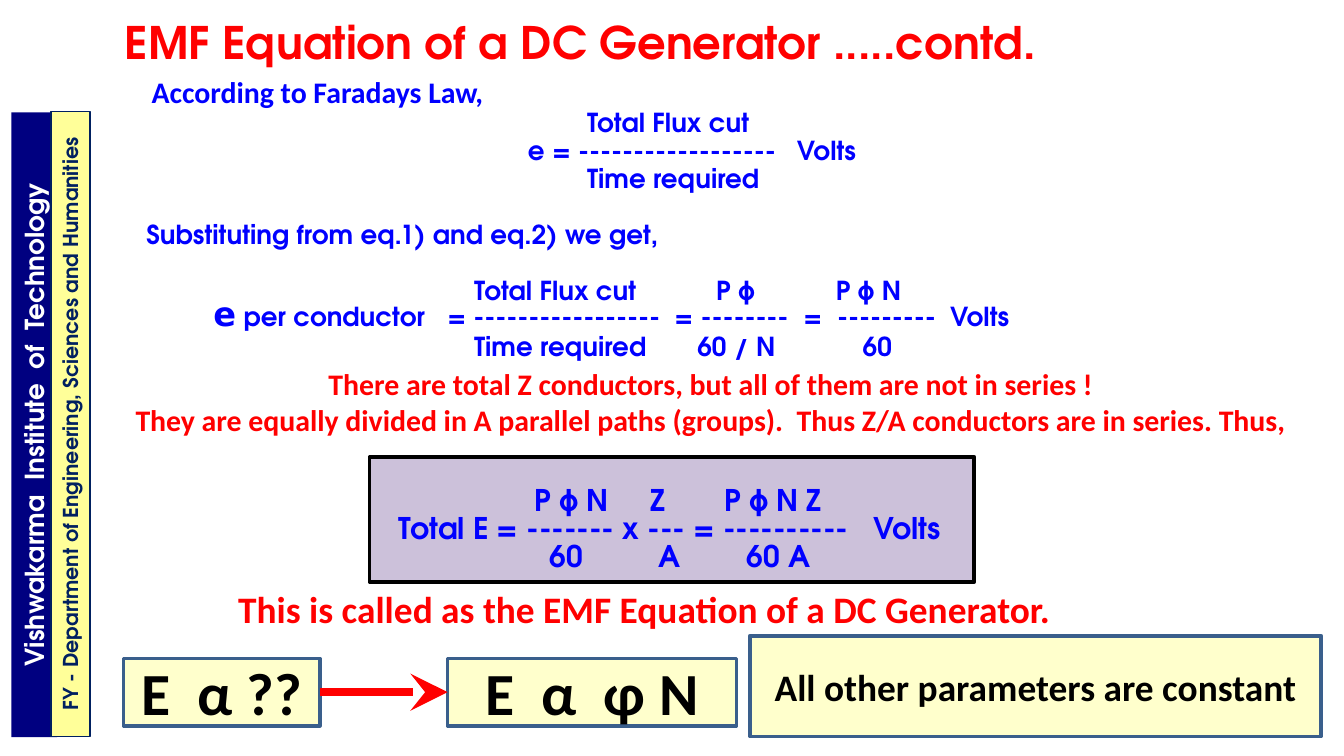
from dataclasses import dataclass

import pptx
import pptx.dml.color
import pptx.enum.shapes
import pptx.enum.text
import pptx.oxml
import pptx.oxml.ns
import pptx.util

Inches = pptx.util.Inches
Pt = pptx.util.Pt
Align = pptx.enum.text.PP_ALIGN
Anchor = pptx.enum.text.MSO_ANCHOR

GEO = "TeX Gyre Adventor"
SANS = "Calibri"
BLUE, RED, BLACK = "0000FF", "FF0000", "000000"
CREAM, STEEL, NAVY = "FFFFCC", "3A5F8C", "002060"


@dataclass
class Style:
    face: str
    size: float
    color: str


@dataclass
class Row:
    """A line of text whose tabs reach the given stops, in inches."""
    text: str
    stops: tuple
    gap: float = 0
    lead: float | object = Pt(15)


@dataclass
class Panel:
    at: tuple
    text: str
    style: Style
    fill: str
    edge: str | None = None
    width: float = 2
    turn: float = 0


def rgb(code: str):
    return pptx.dml.color.RGBColor.from_string(code)


def dress(font, style: Style) -> None:
    font.name = style.face
    font.size = Pt(style.size)
    font.bold = True
    font.color.rgb = rgb(style.color)


def write(frame, lines: list, style: Style, align=Align.LEFT) -> None:
    frame.text = "\n".join(lines)
    frame.word_wrap = True
    for par in frame.paragraphs:
        par.alignment = align
        for run in par.runs:
            dress(run.font, style)


def set_rows(frame, rows: list, style: Style) -> None:
    write(frame, [row.text for row in rows], style)
    for par, row in zip(frame.paragraphs, rows):
        props = par._p.get_or_add_pPr()
        tabs = pptx.oxml.parse_xml(
            f'<a:tabLst {pptx.oxml.ns.nsdecls("a")}>'
            + "".join(f'<a:tab pos="{Inches(stop)}" algn="l"/>' for stop in row.stops)
            + "</a:tabLst>")
        props.append(tabs)
        par.line_spacing = row.lead
        if row.gap:
            par.space_before = Pt(row.gap)


def add_text(slide, at: tuple, lines: list, style: Style, align=Align.LEFT):
    box = slide.shapes.add_textbox(*map(Inches, at))
    write(box.text_frame, lines, style, align)
    return box


def add_panel(slide, panel: Panel):
    kind = pptx.enum.shapes.MSO_SHAPE.RECTANGLE
    shape = slide.shapes.add_shape(kind, *map(Inches, panel.at))
    shape.shadow.inherit = False
    shape.rotation = panel.turn
    shape.fill.solid()
    shape.fill.fore_color.rgb = rgb(panel.fill)
    if panel.edge:
        shape.line.color.rgb = rgb(panel.edge)
        shape.line.width = Pt(panel.width)
    else:
        shape.line.fill.background()
    write(shape.text_frame, [panel.text], panel.style, Align.CENTER)
    shape.text_frame.vertical_anchor = Anchor.MIDDLE
    return shape


def add_arrow(slide, start, end, color: str, width: float) -> None:
    """Join the right side of start to the left side of end."""
    kind = pptx.enum.shapes.MSO_CONNECTOR.STRAIGHT
    arrow = slide.shapes.add_connector(kind, 0, 0, 0, 0)
    arrow.begin_connect(start, 3)
    arrow.end_connect(end, 1)
    arrow.line.color.rgb = rgb(color)
    arrow.line.width = Pt(width)
    space = pptx.oxml.ns.nsdecls("a")
    arrow.line._get_or_add_ln().append(
        pptx.oxml.parse_xml(f'<a:tailEnd {space} type="stealth" w="lg" len="lg"/>'))
    arrow._element.spPr.append(pptx.oxml.parse_xml(f"<a:effectLst {space}/>"))


def add_title(slide, text: str) -> None:
    title = slide.shapes.title
    title.left, title.top = Inches(0.83), Inches(0.06)
    title.width, title.height = Inches(7.33), Inches(0.5)
    write(title.text_frame, [text], Style(GEO, 24, RED))
    title.text_frame.vertical_anchor = Anchor.TOP
    title.text_frame.auto_size = pptx.enum.text.MSO_AUTO_SIZE.NONE


LAW = [
    Row("\tAccording to Faradays Law,", (0.2,), lead=1.0),
    Row("\tTotal Flux cut", (3.44,)),
    Row("\te = ------------------\tVolts", (3.0, 5.0)),
    Row("\tTime required", (3.44,)),
    Row("\tSubstituting from eq.1) and eq.2) we get,", (0.16,), 15),
    Row("\tTotal Flux cut\tP ϕ\tP ϕ N", (2.6, 4.4, 5.29), 15),
    Row("\te", (0.66, 2.4, 4.09, 5.05, 5.3, 6.14)),
    Row("\tTime required\t60 / N\t60", (2.6, 4.26, 5.49)),
]
TOTAL = [
    Row("\tP ϕ N\tZ\tP ϕ N Z", (1.13, 1.99, 2.54), lead=1.5),
    Row("\tTotal E = ------- x --- = ----------\tVolts", (0.12, 3.65)),
    Row("\t60\tA\t60 A", (1.24, 2.05, 2.71)),
]
BIG = Style(SANS, 32, BLACK)
BANDS = [
    Panel((-2.07, 2.99, 4.65, 0.34), "Vishwakarma  Institute  of  Technology",
          Style(GEO, 14, "FFFFFF"), "000080", turn=270),
    Panel((-1.8, 3.01, 4.65, 0.29),
          "FY - Department of Engineering, Sciences and Humanities",
          Style(GEO, 11, NAVY), "FFFF99", NAVY, 0.75, 270),
]


def main() -> None:
    deck = pptx.Presentation()
    deck.slide_width = Inches(10)
    deck.slide_height = deck.slide_width * 9 // 16
    slide = deck.slides.add_slide(deck.slide_layouts[5])
    add_title(slide, "EMF Equation of a DC Generator .....contd.")

    body = Style(GEO, 14, BLUE)
    law = add_text(slide, (0.83, 0.5, 8.58, 2.33), [], body).text_frame
    set_rows(law, LAW, body)
    for run in law.paragraphs[0].runs:
        dress(run.font, Style(SANS, 16, BLUE))
    per = law.paragraphs[6]
    dress(per.runs[0].font, Style("DejaVu Sans", 18, BLUE))
    rest = per.add_run()
    rest.text = " per conductor\t= -----------------\t= --------\t=\t---------\tVolts"
    dress(rest.font, body)

    add_text(slide, (0.83, 2.67, 8.92, 0.64), [
        "There are total Z conductors, but all of them are not in series !",
        "They are equally divided in A parallel paths (groups).  "
        "Thus Z/A conductors are in series. Thus,",
    ], Style(SANS, 16, RED), Align.CENTER)

    sums = Style(GEO, 16, BLUE)
    total = add_panel(slide, Panel((2.75, 3.4, 4.5, 0.93), "", sums, "CCC1DA", BLACK))
    total.text_frame.vertical_anchor = Anchor.TOP
    set_rows(total.text_frame, TOTAL, sums)

    add_text(slide, (1.42, 4.31, 6.75, 0.44),
             ["This is called as the EMF Equation of a DC Generator."],
             Style(SANS, 20, RED), Align.CENTER)

    ask = add_panel(slide, Panel((0.92, 4.9, 1.46, 0.5), "E  α ??", BIG, CREAM, STEEL))
    reply = add_panel(slide, Panel((3.33, 4.9, 2.15, 0.5), "E  α  φ N", BIG, CREAM, STEEL))
    add_arrow(slide, ask, reply, RED, 4)
    add_panel(slide, Panel((5.58, 4.73, 4.25, 0.75), "All other parameters are constant",
                           Style(SANS, 20, BLACK), CREAM, STEEL))
    for band in BANDS:
        add_panel(slide, band)
    deck.save("out.pptx")


if __name__ == "__main__":
    main()
